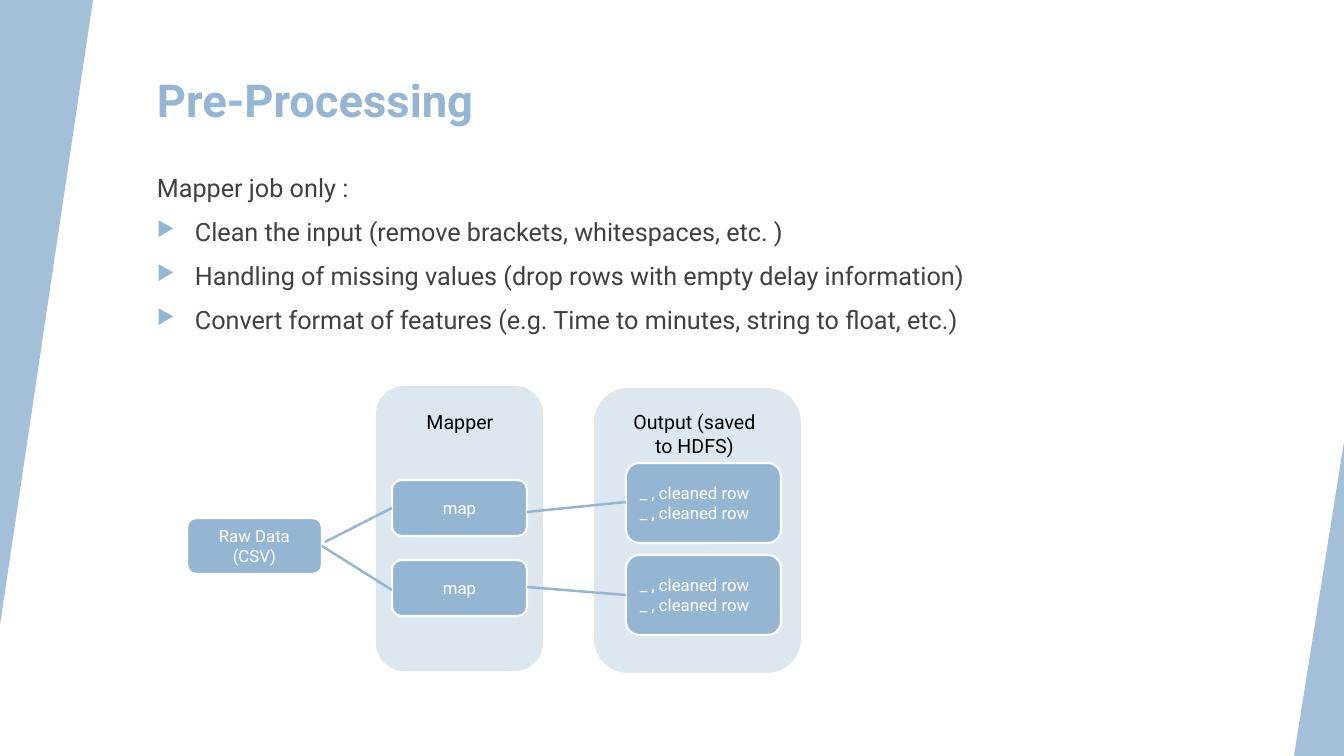
import pptx
import pptx.dml.color
import pptx.enum.shapes
import pptx.enum.text
import pptx.oxml
import pptx.oxml.ns
import pptx.util

RGBColor = pptx.dml.color.RGBColor
SHAPE = pptx.enum.shapes.MSO_SHAPE
ALIGN = pptx.enum.text.PP_ALIGN
ANCHOR = pptx.enum.text.MSO_ANCHOR

BLUE = RGBColor(0x94, 0xB6, 0xD2)
PALE_BLUE = RGBColor(0xD4, 0xE2, 0xED)
WHITE = RGBColor(0xFF, 0xFF, 0xFF)
BLACK = RGBColor(0, 0, 0)
DARK_GREY = RGBColor(0x40, 0x40, 0x40)

EMU_PER_PX = 914400 / 100.8
FONT = "Roboto"


def px(length):
    return pptx.util.Emu(round(length * EMU_PER_PX))


def xml(tag, attributes="", inner=""):
    namespace = pptx.oxml.ns.nsdecls("a")
    return pptx.oxml.parse_xml(f"<a:{tag} {namespace} {attributes}>{inner}</a:{tag}>")


def write(frame, lines, size, color, bold=False, align=ALIGN.LEFT,
          anchor=ANCHOR.TOP, space_before=0, bullets_from=None):
    """Fill a text frame, one paragraph a line."""
    frame.word_wrap = True
    frame.vertical_anchor = anchor
    for index, line in enumerate(lines):
        paragraph = frame.add_paragraph() if index else frame.paragraphs[0]
        paragraph.alignment = align
        paragraph.space_before = pptx.util.Pt(space_before)
        run = paragraph.add_run()
        run.text = line
        run.font.name = FONT
        run.font.size = pptx.util.Pt(size)
        run.font.bold = bold
        run.font.color.rgb = color
        if bullets_from is not None and index >= bullets_from:
            properties = paragraph._p.get_or_add_pPr()
            properties.set("marL", str(px(38)))
            properties.set("indent", str(-px(38)))
            properties.append(xml("buClr", inner=f'<a:srgbClr val="{BLUE}"/>'))
            properties.append(xml("buSzPct", 'val="80000"'))
            properties.append(xml("buChar", 'char="▶"'))


class PipelineSlide:
    def __init__(self, presentation):
        self.shapes = presentation.slides.add_slide(presentation.slide_layouts[6]).shapes

    def text(self, left, top, width, height, lines, **style):
        box = self.shapes.add_textbox(px(left), px(top), px(width), px(height))
        write(box.text_frame, lines, **style)

    def shape(self, kind, left, top, width, height, fill, opacity=100):
        shape = self.shapes.add_shape(kind, px(left), px(top), px(width), px(height))
        shape.shadow.inherit = False
        shape.fill.solid()
        shape.fill.fore_color.rgb = fill
        shape.line.fill.background()
        if opacity < 100:
            color = shape._element.spPr.find(".//" + pptx.oxml.ns.qn("a:srgbClr"))
            color.append(xml("alpha", f'val="{opacity * 1000}"'))
        return shape

    def edge(self, left, top, width, height, rotation=0):
        triangle = self.shape(SHAPE.ISOSCELES_TRIANGLE, left, top, width, height, BLUE, 85)
        triangle.adjustments[0] = 1
        triangle.rotation = rotation

    def panel(self, left, top, width, height):
        self.shape(SHAPE.ROUNDED_RECTANGLE, left, top, width, height, PALE_BLUE, 80)

    def node(self, left, top, width, height, lines, align=ALIGN.CENTER):
        node = self.shape(SHAPE.ROUNDED_RECTANGLE, left, top, width, height, BLUE)
        node.line.color.rgb = WHITE
        node.line.width = pptx.util.Pt(1.5)
        write(node.text_frame, lines, size=12, color=WHITE, align=align, anchor=ANCHOR.MIDDLE)

    def link(self, x1, y1, x2, y2):
        link = self.shapes.add_connector(
            pptx.enum.shapes.MSO_CONNECTOR.STRAIGHT, px(x1), px(y1), px(x2), px(y2))
        link.line.color.rgb = BLUE
        link.line.width = pptx.util.Pt(1.75)
        link._element.spPr.append(xml("effectLst"))


def main():
    presentation = pptx.Presentation()
    presentation.slide_width = px(1344)
    presentation.slide_height = px(756)
    slide = PipelineSlide(presentation)

    # Slanted edges of the slide
    slide.edge(0, 0, 93, 625, rotation=180)
    slide.edge(1294, 442, 50, 314)

    # Title and explanation
    slide.text(147, 67, 948, 72, ["Pre-Processing"], size=32.4, color=BLUE, bold=True)
    slide.text(147, 167, 1019, 190, [
        "Mapper job only :",
        "Clean the input (remove brackets, whitespaces, etc. )",
        "Handling of missing values (drop rows with empty delay information)",
        "Convert format of features (e.g. Time to minutes, string to float, etc.)",
    ], size=18, color=DARK_GREY, space_before=10, bullets_from=1)

    # Input
    slide.node(187, 518, 135, 56, ["Raw Data (CSV)"])

    # Mapper and output stages
    heading = {"size": 14, "color": BLACK, "align": ALIGN.CENTER}
    slide.panel(376, 386, 167, 285)
    slide.text(399, 405, 122, 34, ["Mapper"], **heading)
    slide.panel(594, 388, 207, 285)
    slide.text(617, 405, 155, 57, ["Output (saved to HDFS)"], **heading)
    for branch in range(2):
        slide.node(392, 480 + 80 * branch, 135, 56, ["map"])
        slide.node(626, 463 + 92 * branch, 155, 80, ["_ , cleaned row"] * 2, ALIGN.LEFT)

    # Data flow
    for ends in ((325, 542, 392, 508), (322, 546, 392, 590),
                 (527, 512, 626, 502), (527, 587, 626, 595)):
        slide.link(*ends)

    presentation.save("out.pptx")


if __name__ == "__main__":
    main()
